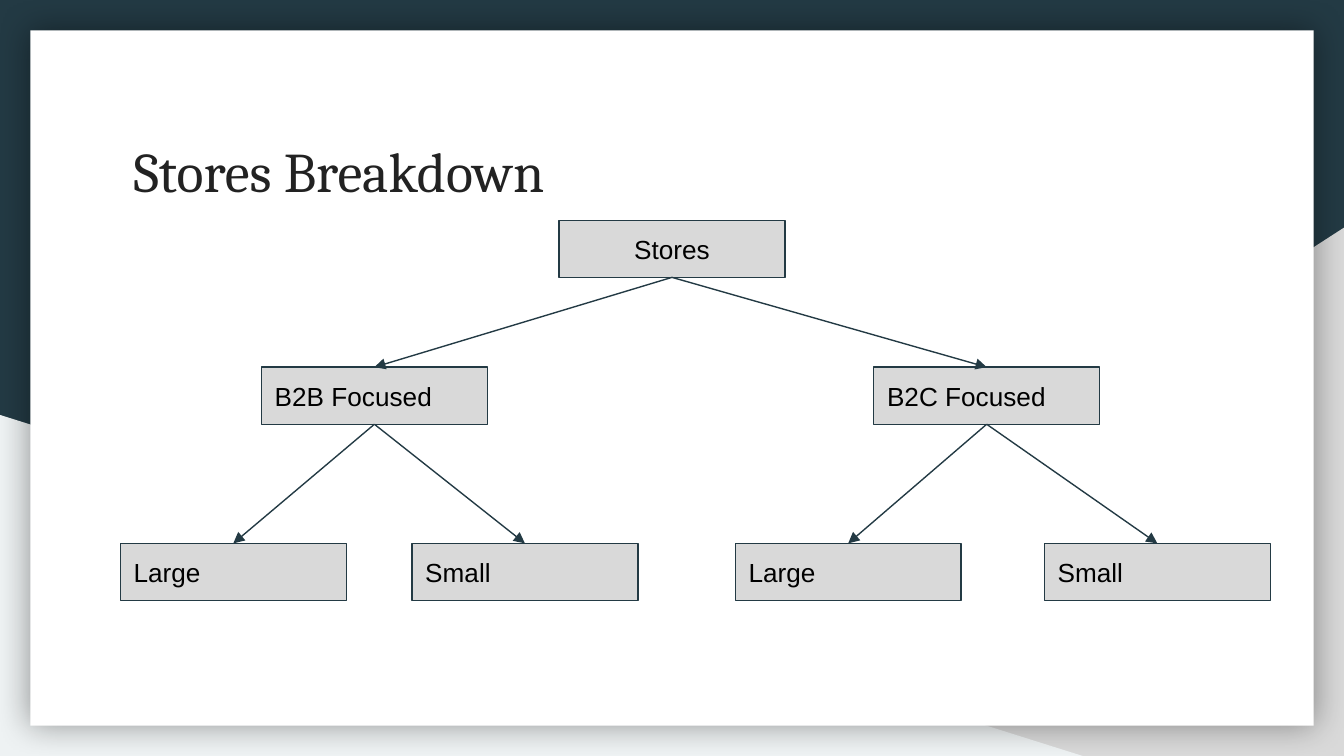
from dataclasses import dataclass

import pptx
import pptx.dml.color
import pptx.enum.shapes
import pptx.enum.text
import pptx.oxml
import pptx.oxml.ns
import pptx.util

Pt = pptx.util.Pt
RGB = pptx.dml.color.RGBColor.from_string
SHAPE = pptx.enum.shapes.MSO_SHAPE
ALIGN = pptx.enum.text.PP_ALIGN
ANCHOR = pptx.enum.text.MSO_ANCHOR


@dataclass(frozen=True)
class Theme:
    dark: str = "233A44"
    grey: str = "D9D9D9"
    pale: str = "EEF2F3"
    panel: str = "FFFFFF"
    title_ink: str = "222222"
    node_ink: str = "000000"
    title_font: str = "Cambria"
    node_font: str = "Arial"
    title_size: float = 30
    node_size: float = 14
    line_width: float = 0.75
    inset: float = 7.2


THEME = Theme()
SLIDE = (0, 0, 720, 405)
NODE_WIDTH, NODE_HEIGHT = 121, 30.6
LEVEL_TOPS = (0, 78.7, 173.1)
STORES = ("Stores", 235, [
    ("B2B Focused", 75.6, [("Large", 0, []), ("Small", 156.2, [])]),
    ("B2C Focused", 403.6, [("Large", 329.4, []), ("Small", 495, [])]),
])


def drawing_element(xml):
    return pptx.oxml.parse_xml(xml.replace(" ", f' {pptx.oxml.ns.nsdecls("a")} ', 1))


def add_filled(slide, preset, box, color):
    shape = slide.shapes.add_shape(preset, *map(Pt, box))
    shape.shadow.inherit = False
    shape.fill.solid()
    shape.fill.fore_color.rgb = RGB(color)
    shape.line.fill.background()
    return shape


def write_text(shape, text, font, size, color, anchor, align=ALIGN.LEFT):
    frame = shape.text_frame
    frame.word_wrap = True
    frame.vertical_anchor = anchor
    frame.margin_left = frame.margin_right = Pt(THEME.inset)
    frame.margin_top = frame.margin_bottom = Pt(THEME.inset)
    frame.text = text
    paragraph = frame.paragraphs[0]
    paragraph.alignment = align
    style = paragraph.runs[0].font
    style.name, style.size = font, Pt(size)
    style.color.rgb = RGB(color)


def draw_backdrop(slide, box):
    left, top, width, height = box
    slide.background.fill.solid()
    slide.background.fill.fore_color.rgb = RGB(THEME.dark)

    right_wedge = (left + width - 438, top + height - 283, 438, 283)
    wedge = add_filled(slide, SHAPE.RIGHT_TRIANGLE, right_wedge, THEME.grey)
    wedge._element.spPr.xfrm.set("flipH", "1")
    left_wedge = (left, top + height - 182.7, 580, 182.7)
    add_filled(slide, SHAPE.RIGHT_TRIANGLE, left_wedge, THEME.pale)

    margin = 16.2
    panel_box = (left + margin, top + margin, width - 2 * margin, height - 2 * margin)
    panel = add_filled(slide, SHAPE.RECTANGLE, panel_box, THEME.panel)
    effects = panel._element.spPr.find(pptx.oxml.ns.qn("a:effectLst"))
    effects.append(drawing_element(
        f'<a:outerShdw blurRad="{Pt(18)}" dist="0" dir="0" algn="ctr" rotWithShape="0">'
        '<a:srgbClr val="000000"><a:alpha val="40000"/></a:srgbClr></a:outerShdw>'))


def draw_title(slide, box, text):
    title = slide.shapes.add_textbox(*map(Pt, box))
    write_text(title, text, THEME.title_font, THEME.title_size, THEME.title_ink, ANCHOR.TOP)


def join(slide, parent, child):
    arrow = slide.shapes.add_connector(pptx.enum.shapes.MSO_CONNECTOR.STRAIGHT, 0, 0, 0, 0)
    arrow.begin_connect(parent, 2)
    arrow.end_connect(child, 0)
    arrow.line.color.rgb = RGB(THEME.dark)
    arrow.line.width = Pt(THEME.line_width)
    arrow.line._get_or_add_ln().append(drawing_element('<a:tailEnd type="triangle"/>'))
    arrow._element.spPr.append(drawing_element("<a:effectLst />"))


def draw_tree(slide, box, branch, level=0):
    left, top = box[:2]
    label, offset, children = branch
    node_box = (left + offset, top + LEVEL_TOPS[level], NODE_WIDTH, NODE_HEIGHT)
    node = add_filled(slide, SHAPE.RECTANGLE, node_box, THEME.grey)
    node.line.color.rgb = RGB(THEME.dark)
    node.line.width = Pt(THEME.line_width)
    write_text(node, label, THEME.node_font, THEME.node_size, THEME.node_ink,
               ANCHOR.MIDDLE, ALIGN.LEFT if level else ALIGN.CENTER)
    for child in children:
        join(slide, node, draw_tree(slide, box, child, level + 1))
    return node


def main():
    deck = pptx.Presentation()
    deck.slide_width, deck.slide_height = map(Pt, SLIDE[2:])
    slide = deck.slides.add_slide(deck.slide_layouts[6])
    draw_backdrop(slide, SLIDE)
    draw_title(slide, (64.5, 66.2, 591, 75), "Stores Breakdown")
    draw_tree(slide, (64.5, 118, 616, 203.7), STORES)
    deck.save("out.pptx")


if __name__ == "__main__":
    main()
